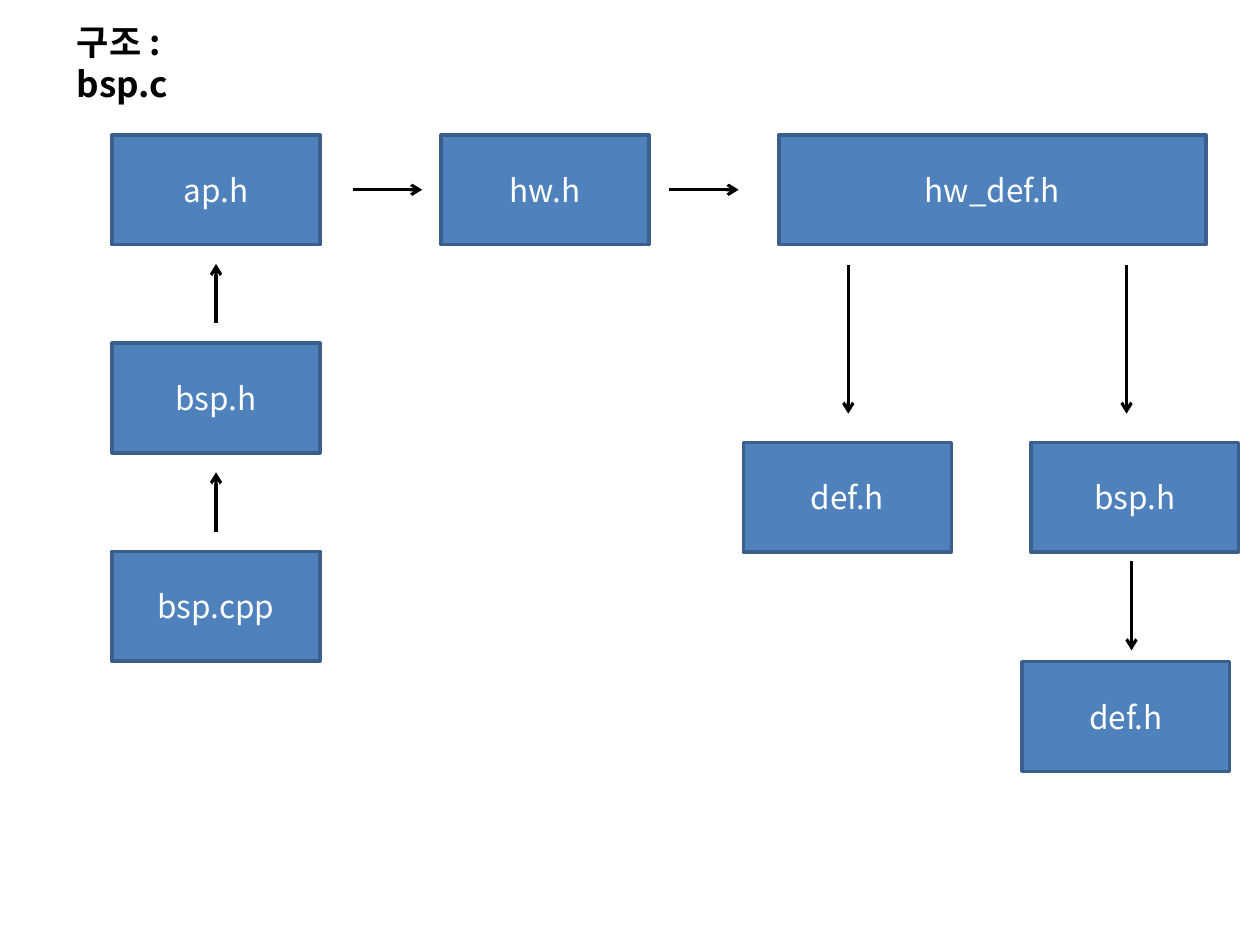
from lxml import etree
from pptx import Presentation
from pptx.dml.color import RGBColor
from pptx.enum.shapes import MSO_CONNECTOR as Link, MSO_SHAPE as Shape
from pptx.enum.text import MSO_ANCHOR as Anchor, PP_ALIGN as Align
from pptx.oxml.ns import qn
from pptx.util import Cm, Pt

FONT = "Noto Sans CJK KR"
BOX_WIDTH, BOX_HEIGHT = 4.19, 2.21


def color(value):
    return RGBColor.from_string(value)


def style_text(para, size, value, bold=False):
    para.font.name = FONT
    para.font.size = Pt(size)
    para.font.bold = bold
    para.font.color.rgb = color(value)


def add_title(page, left, top, width, height):
    box = page.shapes.add_textbox(Cm(left), Cm(top), Cm(width), Cm(height))
    frame = box.text_frame
    frame.word_wrap = True
    para = frame.paragraphs[0]
    para.text = "구조 :\vbsp.c"
    style_text(para, 20, "000000", bold=True)


def add_file(page, name, left, top, width=BOX_WIDTH):
    box = page.shapes.add_shape(
        Shape.RECTANGLE, Cm(left), Cm(top), Cm(width), Cm(BOX_HEIGHT))
    box.shadow.inherit = False
    box.fill.solid()
    box.fill.fore_color.rgb = color("4F81BD")
    box.line.color.rgb = color("3A5F8C")
    box.line.width = Pt(2)
    frame = box.text_frame
    frame.vertical_anchor = Anchor.MIDDLE
    para = frame.paragraphs[0]
    para.text = name
    para.alignment = Align.CENTER
    style_text(para, 18, "FFFFFF")


def add_arrow(page, x1, y1, x2, y2):
    arrow = page.shapes.add_connector(
        Link.STRAIGHT, Cm(x1), Cm(y1), Cm(x2), Cm(y2))
    arrow.line.color.rgb = color("000000")
    arrow.line.width = Pt(1.75)
    etree.SubElement(arrow.line._get_or_add_ln(), qn("a:tailEnd"), type="arrow")
    etree.SubElement(arrow._element.spPr, qn("a:effectLst"))


def add_source_column(page, left, top):
    """Stack the files that lead up to ap.h."""
    pitch = 4.2
    middle = left + BOX_WIDTH / 2
    for row, name in enumerate(["ap.h", "bsp.h", "bsp.cpp"]):
        y = top + row * pitch
        add_file(page, name, left, y)
        if row:
            add_arrow(page, middle, y - 0.4, middle, y - 1.6)


def add_hardware_row(page, left, top):
    """Chain ap.h to hw.h and on to hw_def.h."""
    middle = top + BOX_HEIGHT / 2
    add_file(page, "hw.h", left, top)
    add_file(page, "hw_def.h", left + 6.81, top, width=8.61)
    for x in (left - 1.78, left + 4.6):
        add_arrow(page, x, middle, x + 1.4, middle)


def add_include_tree(page, left, top):
    """Place the files that hw_def.h includes."""
    branches = [("def.h", 0, 2.11), ("bsp.h", 5.79, 7.72)]
    for name, offset, arrow_offset in branches:
        add_file(page, name, left + offset, top)
        x = left + arrow_offset
        add_arrow(page, x, top - 3.58, x, top - 0.58)
    # Nested include below bsp.h
    add_file(page, "def.h", left + 5.61, top + 4.42)
    add_arrow(page, left + 7.82, top + 2.39, left + 7.82, top + 4.19)


def main():
    deck = Presentation()
    deck.slide_width, deck.slide_height = Cm(25.4), Cm(19.05)
    page = deck.slides.add_slide(deck.slide_layouts[6])
    add_title(page, 1.3, 0.28, 4.37, 1.96)
    add_source_column(page, 2.26, 2.72)
    add_hardware_row(page, 8.89, 2.72)
    add_include_tree(page, 14.99, 8.92)
    deck.save("out.pptx")


if __name__ == "__main__":
    main()
